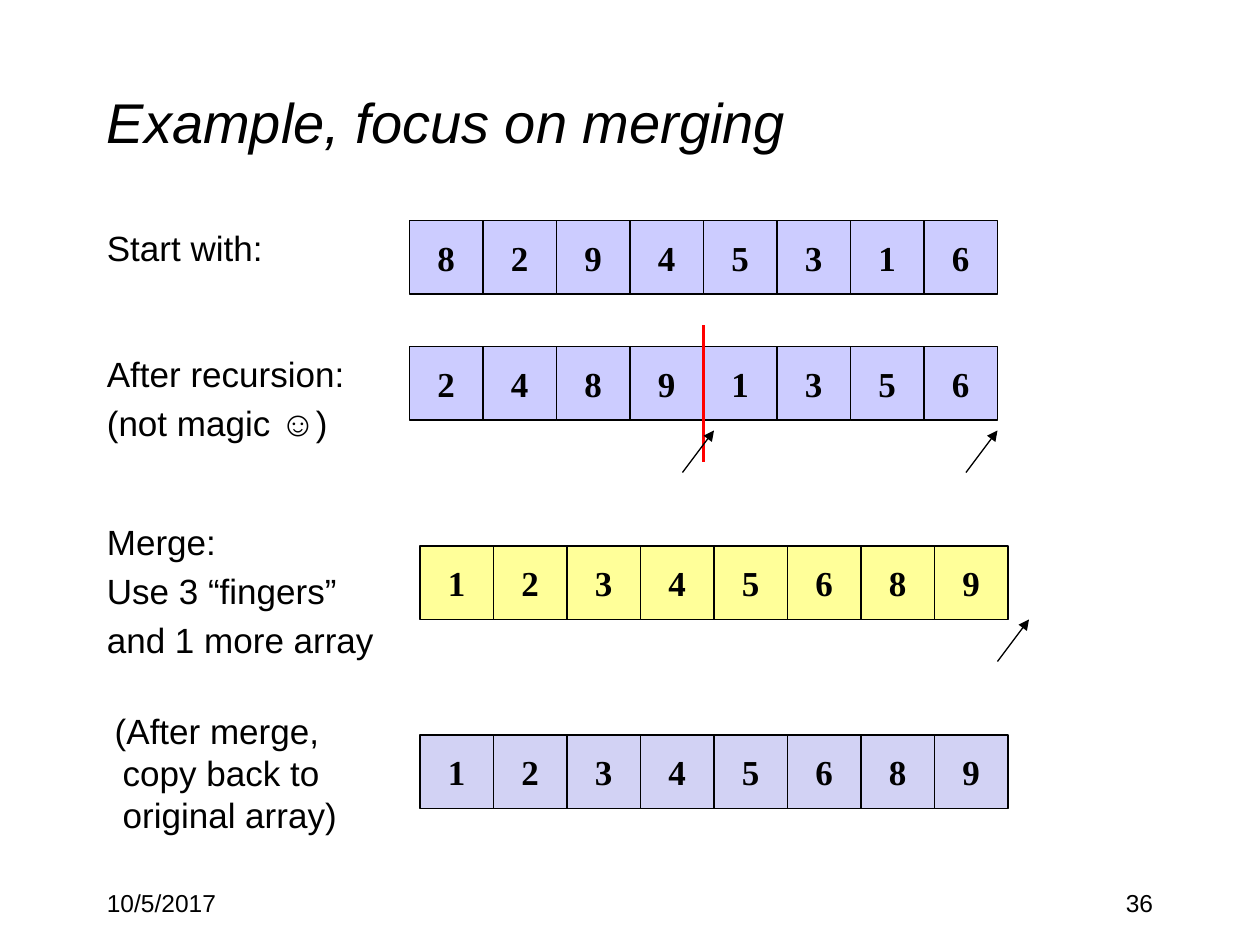
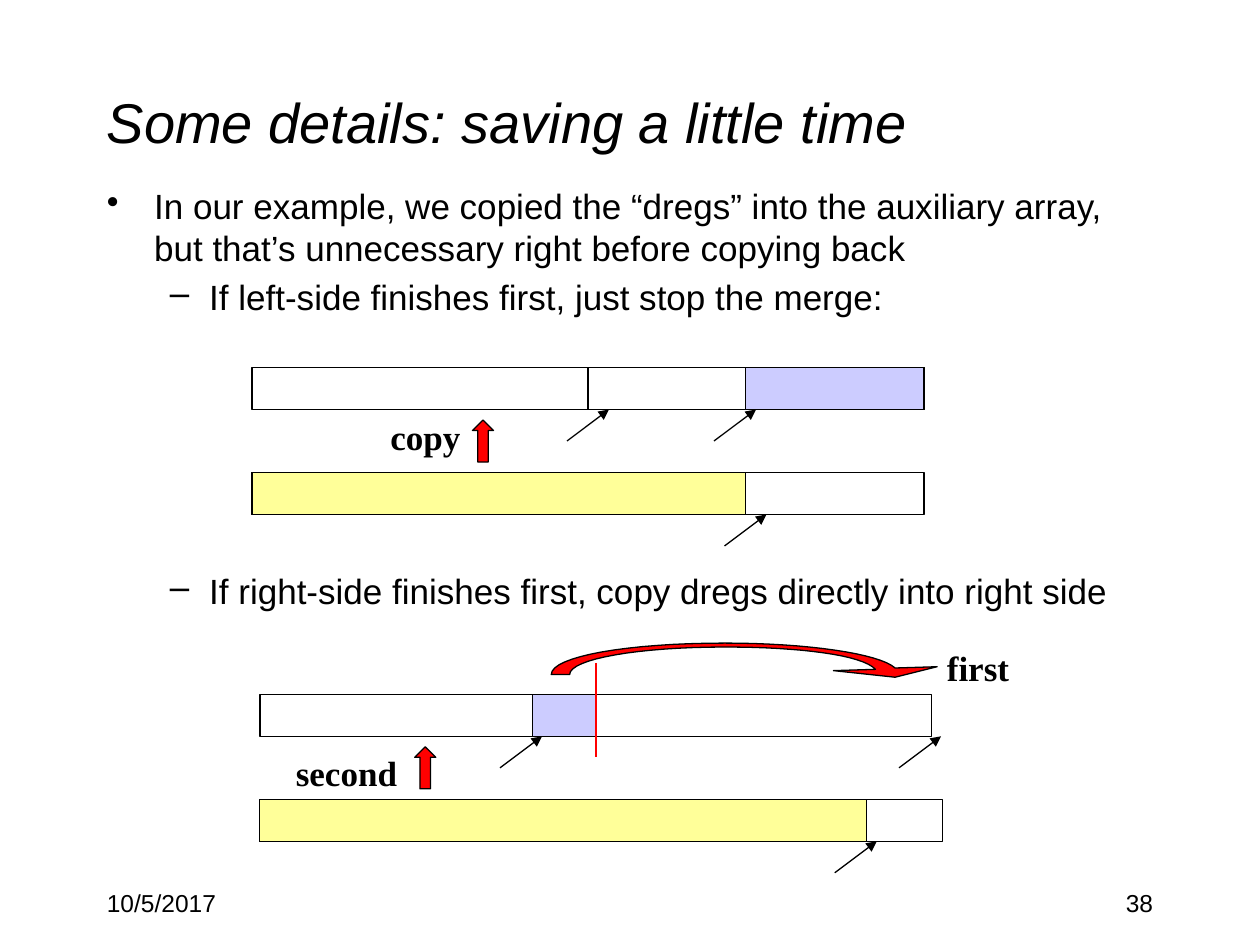
from dataclasses import dataclass
from typing import Any, NamedTuple

from lxml import etree
from pptx import Presentation
from pptx.dml.color import RGBColor
from pptx.enum.shapes import MSO_CONNECTOR, MSO_SHAPE
from pptx.enum.text import MSO_ANCHOR, MSO_AUTO_SIZE, PP_ALIGN
from pptx.oxml.ns import qn
from pptx.util import Emu, Pt

RECTANGLE, UP_ARROW = MSO_SHAPE.RECTANGLE, MSO_SHAPE.UP_ARROW
STRAIGHT = MSO_CONNECTOR.STRAIGHT
TOP, MIDDLE = MSO_ANCHOR.TOP, MSO_ANCHOR.MIDDLE
LEFT, CENTER, RIGHT = PP_ALIGN.LEFT, PP_ALIGN.CENTER, PP_ALIGN.RIGHT
FIT_SHAPE = MSO_AUTO_SIZE.SHAPE_TO_FIT_TEXT

EMU_PER_PX = 9525
BLANK_LAYOUT = 6
CELL = 56
BAR_HEIGHT = 32


@dataclass(frozen=True)
class Theme:
    black: RGBColor = RGBColor(0x00, 0x00, 0x00)
    red: RGBColor = RGBColor(0xFF, 0x00, 0x00)
    lilac: RGBColor = RGBColor(0xCC, 0xCC, 0xFF)
    pale_lilac: RGBColor = RGBColor(0xD2, 0xD2, 0xF4)
    yellow: RGBColor = RGBColor(0xFF, 0xFF, 0x99)
    sans: str = "Arial"
    serif: str = "Times New Roman"
    title_size: int = 32
    body_size: int = 20
    footer_size: int = 14
    thin: float = 0.75
    medium: float = 1.5
    thick: float = 2.25
    paragraph_gap: int = 4


THEME = Theme()
TITLE = {"name": THEME.sans, "size": Pt(THEME.title_size), "italic": True}
BODY = {"name": THEME.sans, "size": Pt(THEME.body_size)}
FOOTER = {"name": THEME.sans, "size": Pt(THEME.footer_size)}
LABEL = {"name": THEME.serif, "size": Pt(THEME.body_size), "bold": True}


class Box(NamedTuple):
    left: int
    top: int
    width: int
    height: int


class Point(NamedTuple):
    x: int
    y: int


class Line(NamedTuple):
    text: str
    bullet: str = ""
    margin: int = 0
    indent: int = 0
    space_before: int = THEME.paragraph_gap


class ArrayRow(NamedTuple):
    left: int
    top: int
    values: str
    fill: RGBColor


class Bar(NamedTuple):
    left: int
    top: int
    width: int
    fill: RGBColor | None = None


class Caption(NamedTuple):
    text: str
    box: Box


def px(length: float) -> Emu:
    return Emu(round(length * EMU_PER_PX))


# Text
def write_line(paragraph: Any, line: Line, font: dict[str, Any],
               alignment: Any = LEFT, first: bool = True) -> None:
    properties = paragraph._p.get_or_add_pPr()
    properties.set("marL", str(px(line.margin)))
    properties.set("indent", str(px(line.indent)))
    if line.bullet:
        etree.SubElement(properties, qn("a:buChar"), char=line.bullet)
    paragraph.alignment = alignment
    paragraph.space_before = Pt(0 if first else line.space_before)
    run = paragraph.add_run()
    run.text = line.text
    run.font.color.rgb = THEME.black
    for name, value in font.items():
        setattr(run.font, name, value)


def add_text(slide: Any, box: Box, lines: list[Line], font: dict[str, Any],
             alignment: Any = LEFT, **frame_format: Any) -> None:
    frame = slide.shapes.add_textbox(*map(px, box)).text_frame
    for name, value in {"word_wrap": True, "vertical_anchor": TOP, **frame_format}.items():
        setattr(frame, name, value)
    for index, line in enumerate(lines):
        paragraph = frame.add_paragraph() if index else frame.paragraphs[0]
        write_line(paragraph, line, font, alignment, first=index == 0)


def add_caption(slide: Any, caption: Caption) -> None:
    add_text(slide, caption.box, [Line(caption.text)], LABEL,
             word_wrap=False, auto_size=FIT_SHAPE)


# Shapes and lines
def style_shape(shape: Any, fill: RGBColor | None) -> None:
    shape.shadow.inherit = False
    if fill is None:
        shape.fill.background()
    else:
        shape.fill.solid()
        shape.fill.fore_color.rgb = fill
    shape.line.color.rgb = THEME.black
    shape.line.width = Pt(THEME.thin)


def add_preset(slide: Any, kind: Any, box: Box, fill: RGBColor | None) -> Any:
    shape = slide.shapes.add_shape(kind, *map(px, box))
    style_shape(shape, fill)
    return shape


def add_line(slide: Any, start: Point, end: Point, color: RGBColor,
             width: float, arrow: bool = False) -> None:
    connector = slide.shapes.add_connector(STRAIGHT, *map(px, (*start, *end)))
    connector.line.color.rgb = color
    connector.line.width = Pt(width)
    properties = connector.element.spPr
    if arrow:
        etree.SubElement(properties.find(qn("a:ln")), qn("a:tailEnd"), type="triangle")
    etree.SubElement(properties, qn("a:effectLst"))


def add_finger(slide: Any, tip: Point, run: int, rise: int) -> None:
    add_line(slide, Point(tip.x - run, tip.y + rise), tip,
             THEME.black, THEME.thin, arrow=True)


def add_array(slide: Any, row: ArrayRow) -> None:
    for index, value in enumerate(row.values):
        box = Box(row.left + index * CELL, row.top, CELL, CELL)
        frame = add_preset(slide, RECTANGLE, box, row.fill).text_frame
        frame.word_wrap = False
        frame.vertical_anchor = MIDDLE
        write_line(frame.paragraphs[0], Line(value), LABEL, CENTER)


def add_bars(slide: Any, bars: list[Bar]) -> None:
    for bar in bars:
        box = Box(bar.left, bar.top, bar.width, BAR_HEIGHT)
        add_preset(slide, RECTANGLE, box, bar.fill)


def curve(start: Point, first: Point, second: Point, end: Point,
          steps: int = 16) -> list[tuple[float, float]]:
    """Points along a cubic curve, without its start."""
    points = []
    for step in range(1, steps + 1):
        t = step / steps
        u = 1 - t
        weights = (u ** 3, 3 * u * u * t, 3 * u * t * t, t ** 3)
        points.append(tuple(sum(weight * value for weight, value in zip(weights, axis))
                            for axis in zip(start, first, second, end)))
    return points


def add_swoop(slide: Any) -> None:
    """Curved arrow from the dregs over to the right side."""
    start, inner_top, inner_end = Point(667, 510), Point(552, 493), Point(434, 514)
    outer_start, outer_top, outer_end = Point(420, 514), Point(552, 490), Point(682, 509)
    outline = [
        *curve(start, Point(657, 499), Point(609, 493), inner_top),
        *curve(inner_top, Point(487, 493), Point(434, 502), inner_end),
        outer_start,
        *curve(outer_start, Point(420, 500), Point(479, 490), outer_top),
        *curve(outer_top, Point(615, 490), Point(670, 498), outer_end),
        Point(714, 508), Point(682, 516), Point(635, 511),
    ]
    builder = slide.shapes.build_freeform(px(start.x), px(start.y))
    builder.add_line_segments([(px(x), px(y)) for x, y in outline], close=True)
    style_shape(builder.convert_to_shape(), THEME.red)


# Slides
def add_base_slide(presentation: Any, title: str, number: int) -> Any:
    slide = presentation.slides.add_slide(presentation.slide_layouts[BLANK_LAYOUT])
    add_text(slide, Box(72, 32, 816, 120), [Line(title)], TITLE, vertical_anchor=MIDDLE)
    add_text(slide, Box(72, 672, 200, 48), [Line("10/5/2017")], FOOTER)
    add_text(slide, Box(688, 672, 200, 48), [Line(str(number))], FOOTER, RIGHT)
    return slide


def build_merging_slide(presentation: Any) -> None:
    slide = add_base_slide(presentation, "Example, focus on merging", 36)

    # Step descriptions
    steps = [
        (Box(72, 168, 152, 104), [Line("Start with:")]),
        (Box(72, 264, 232, 104), [Line("After recursion:"), Line("(not magic ☺)")]),
        (Box(72, 392, 232, 128),
         [Line("Merge:"), Line("Use 3 “fingers”"), Line("and 1 more array")]),
        (Box(48, 536, 232, 128),
         [Line("(After merge, copy back to original array)", margin=36, indent=-6)]),
    ]
    for box, lines in steps:
        add_text(slide, box, lines, BODY)

    # Arrays
    for row in (
        ArrayRow(312, 168, "82945316", THEME.lilac),
        ArrayRow(312, 264, "24891356", THEME.lilac),
        ArrayRow(320, 416, "12345689", THEME.yellow),
        ArrayRow(320, 560, "12345689", THEME.pale_lilac),
    ):
        add_array(slide, row)

    # Midpoint and fingers
    add_line(slide, Point(536, 248), Point(536, 352), THEME.red, THEME.thick)
    for tip in (Point(544, 328), Point(760, 328), Point(784, 472)):
        add_finger(slide, tip, run=24, rise=32)


def build_details_slide(presentation: Any) -> None:
    slide = add_base_slide(presentation, "Some details: saving a little time", 38)
    add_text(slide, Box(72, 136, 816, 352), [
        Line("In our example, we copied the “dregs” into the auxiliary array, "
             "but that’s unnecessary right before copying back", "•", 36, -36),
        Line("If left-side finishes first, just stop the merge:", "–", 78, -30),
        Line("If right-side finishes first, copy dregs directly into right side",
             "–", 78, -30, space_before=144),
    ], BODY)

    # Left side finishes first, then right side finishes first
    add_bars(slide, [
        Bar(192, 280, 256), Bar(448, 280, 256), Bar(192, 360, 512),
        Bar(568, 280, 136, THEME.lilac), Bar(192, 360, 376, THEME.yellow),
        Bar(198, 529, 256), Bar(454, 529, 256), Bar(198, 609, 520),
        Bar(406, 529, 48, THEME.lilac), Bar(198, 609, 462, THEME.yellow),
    ])
    add_line(slide, Point(454, 505), Point(454, 577), THEME.red, THEME.medium)

    # Fingers
    for tip in (Point(464, 312), Point(584, 392), Point(576, 312),
                Point(413, 561), Point(668, 641), Point(717, 561)):
        add_finger(slide, tip, run=32, rise=24)

    # Copy directions
    for corner in (Point(360, 320), Point(316, 569)):
        add_preset(slide, UP_ARROW, Box(*corner, 16, 32), THEME.red)
    add_swoop(slide)
    for caption in (
        Caption("copy", Box(288, 312, 73, 42)),
        Caption("first", Box(712, 488, 67, 42)),
        Caption("second", Box(216, 568, 97, 42)),
    ):
        add_caption(slide, caption)


def main() -> None:
    presentation = Presentation()
    presentation.slide_width, presentation.slide_height = px(960), px(720)
    build_merging_slide(presentation)
    build_details_slide(presentation)
    presentation.save("out.pptx")


if __name__ == "__main__":
    main()
